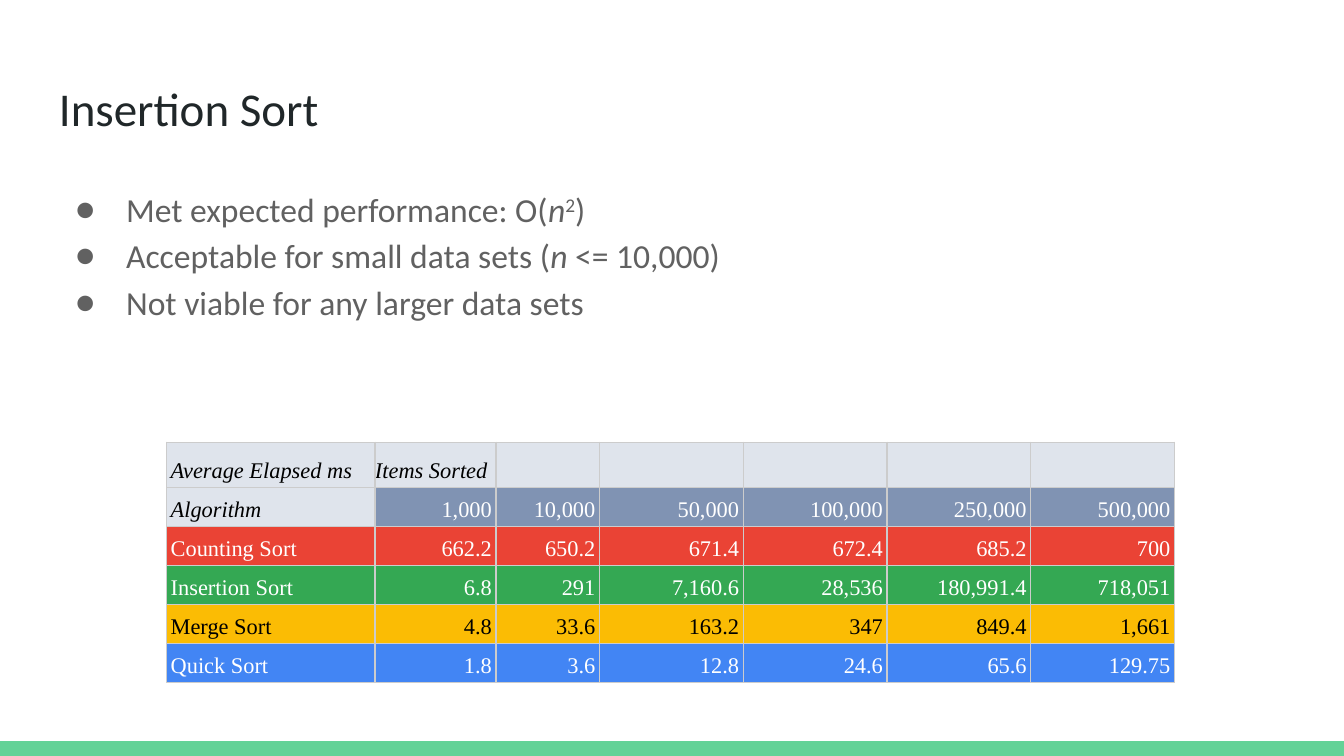
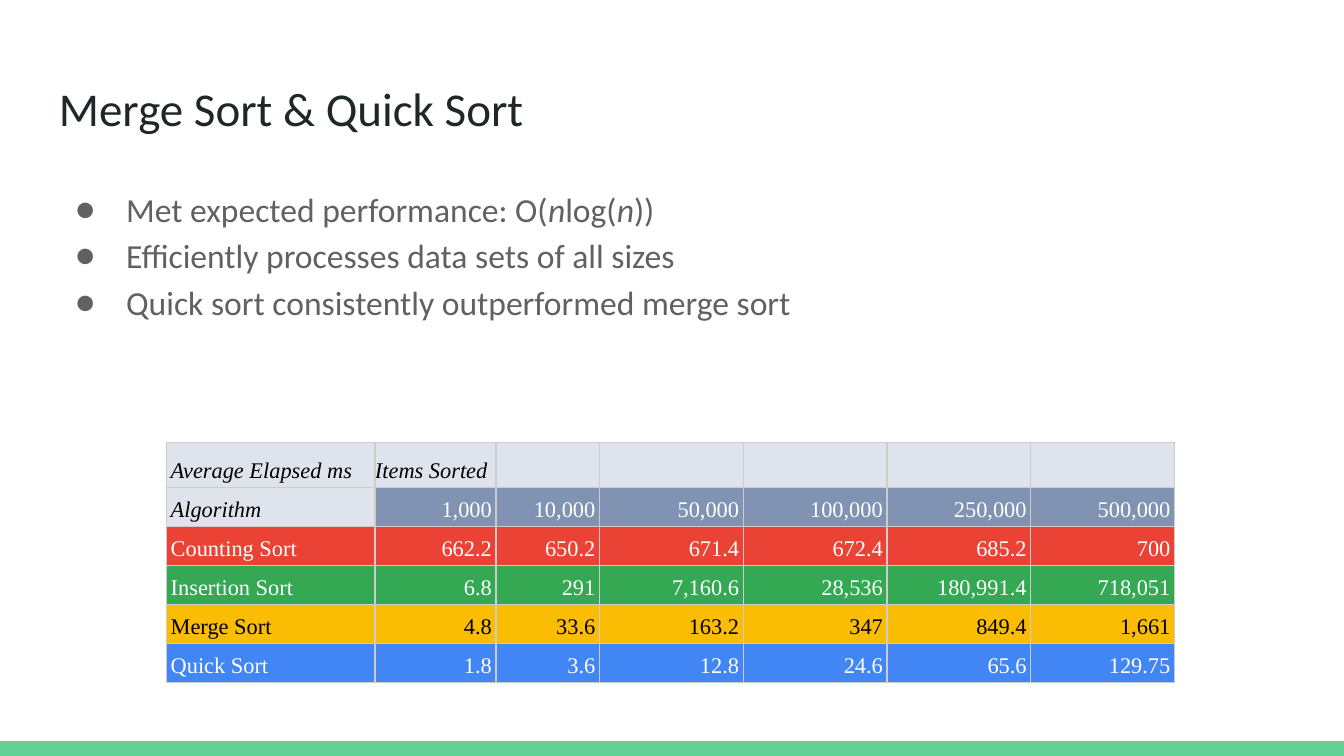
from lxml.etree import SubElement
from pptx import Presentation
from pptx.dml.color import RGBColor
from pptx.enum.shapes import MSO_SHAPE
from pptx.enum.text import MSO_ANCHOR, PP_ALIGN
from pptx.oxml.ns import qn
from pptx.util import Inches, Pt

WHITE = RGBColor(0xFF, 0xFF, 0xFF)
BLACK = RGBColor(0x00, 0x00, 0x00)
INK = RGBColor(0x20, 0x27, 0x29)
GRAY = RGBColor(0x61, 0x61, 0x61)
MINT = RGBColor(0x63, 0xD2, 0x97)
RULE = RGBColor(0xCC, 0xCC, 0xCC)
PALE = RGBColor(0xDF, 0xE4, 0xEC)
SLATE = RGBColor(0x80, 0x93, 0xB3)
RED = RGBColor(0xEA, 0x43, 0x35)
GREEN = RGBColor(0x34, 0xA8, 0x53)
GOLD = RGBColor(0xFB, 0xBC, 0x04)
BLUE = RGBColor(0x42, 0x85, 0xF4)

SANS, SERIF = "Calibri", "Times New Roman"
SPACING = 1.15
PAD = Inches(0.03)

# Each bullet is a list of runs; "n" is set in italics, "2" is raised.
SLIDES = [
    ("Insertion Sort", [
        ["Met expected performance: O(", "n", "2", ")"],
        ["Acceptable for small data sets (", "n", " <= 10,000)"],
        ["Not viable for any larger data sets"],
    ]),
    ("Merge Sort & Quick Sort", [
        ["Met expected performance: O(", "n", "log(", "n", "))"],
        ["Efficiently processes data sets of all sizes"],
        ["Quick sort consistently outperformed merge sort"],
    ]),
]

COLS = [1.55, 0.9, 0.77] + [1.07] * 4
ROWS = [0.34] + [0.22] * 5
# Fill, text colour and cells of each row
TIMES = [
    (PALE, BLACK, ["Average Elapsed ms", "Items Sorted", "", "", "", "", ""]),
    (SLATE, WHITE, ["Algorithm", "1,000", "10,000", "50,000", "100,000", "250,000", "500,000"]),
    (RED, WHITE, ["Counting Sort", "662.2", "650.2", "671.4", "672.4", "685.2", "700"]),
    (GREEN, WHITE, ["Insertion Sort", "6.8", "291", "7,160.6", "28,536", "180,991.4", "718,051"]),
    (GOLD, BLACK, ["Merge Sort", "4.8", "33.6", "163.2", "347", "849.4", "1,661"]),
    (BLUE, WHITE, ["Quick Sort", "1.8", "3.6", "12.8", "24.6", "65.6", "129.75"]),
]

deck = Presentation()
deck.slide_width, deck.slide_height = Inches(10), Inches(5.625)
wide, high = deck.slide_width, deck.slide_height
left, span = Inches(0.34), Inches(9.32)


def add_box(slide, top, height):
    """Add a wrapping text box across the content width; return its frame."""
    frame = slide.shapes.add_textbox(left, Inches(top), span, Inches(height)).text_frame
    frame.word_wrap = True
    frame.margin_left = frame.margin_right = Inches(0.1)
    frame.margin_top = frame.margin_bottom = Inches(0.1)
    return frame


def set_font(font, name, size, color):
    font.name, font.size = name, Pt(size)
    font.color.rgb = color


for title, bullets in SLIDES:
    slide = deck.slides.add_slide(deck.slide_layouts[6])
    slide.background.fill.solid()
    slide.background.fill.fore_color.rgb = WHITE

    thick = Inches(0.11)
    band = slide.shapes.add_shape(MSO_SHAPE.RECTANGLE, 0, high - thick, wide, thick)
    band.shadow.inherit = False
    band.fill.solid()
    band.fill.fore_color.rgb = MINT
    band.line.fill.background()

    head = add_box(slide, 0.49, 0.63).paragraphs[0]
    head.text = title
    set_font(head.font, SANS, 25.2, INK)

    body = add_box(slide, 1.26, 3.74)
    for i, parts in enumerate(bullets):
        para = body.add_paragraph() if i else body.paragraphs[0]
        para.line_spacing = SPACING
        props = para._p.get_or_add_pPr()
        props.set("marL", str(Inches(0.5)))
        props.set("indent", str(Inches(-0.38)))
        tint = SubElement(props, qn("a:buClr"))
        SubElement(tint, qn("a:srgbClr"), val=str(GRAY))
        SubElement(props, qn("a:buFont"), typeface=SANS)
        SubElement(props, qn("a:buChar"), char="●")
        set_font(para.font, SANS, 18, GRAY)
        for part in parts:
            run = para.add_run()
            run.text = part
            if part == "n":
                run.font.italic = True
            elif part == "2":
                run._r.get_or_add_rPr().set("baseline", "30000")

    grid = slide.shapes.add_table(
        len(ROWS), len(COLS), Inches(1.24), Inches(3.29),
        Inches(sum(COLS)), Inches(sum(ROWS))).table
    grid.first_row = grid.horz_banding = False
    for col, width in zip(grid.columns, COLS):
        col.width = Inches(width)
    for r, (fill, color, texts) in enumerate(TIMES):
        grid.rows[r].height = Inches(ROWS[r])
        for c, text in enumerate(texts):
            cell = grid.cell(r, c)
            label = r == 0 or (r == 1 and c == 0)
            cell.vertical_anchor = MSO_ANCHOR.BOTTOM
            cell.margin_top = cell.margin_bottom = PAD
            cell.margin_left = cell.margin_right = 0 if (r, c) == (0, 1) else PAD
            for side in ("lnL", "lnR", "lnT", "lnB"):
                edge = SubElement(cell._tc.get_or_add_tcPr(), qn("a:" + side), w=str(Pt(0.75)))
                paint = SubElement(edge, qn("a:solidFill"))
                SubElement(paint, qn("a:srgbClr"), val=str(RULE))
            cell.fill.solid()
            cell.fill.fore_color.rgb = PALE if label else fill
            para = cell.text_frame.paragraphs[0]
            if text:
                para.text = text
            para.line_spacing = SPACING
            para.alignment = PP_ALIGN.RIGHT if r and c else PP_ALIGN.LEFT
            set_font(para.font, SERIF, 12, BLACK if label else color)
            para.font.italic = label

deck.save("out.pptx")
